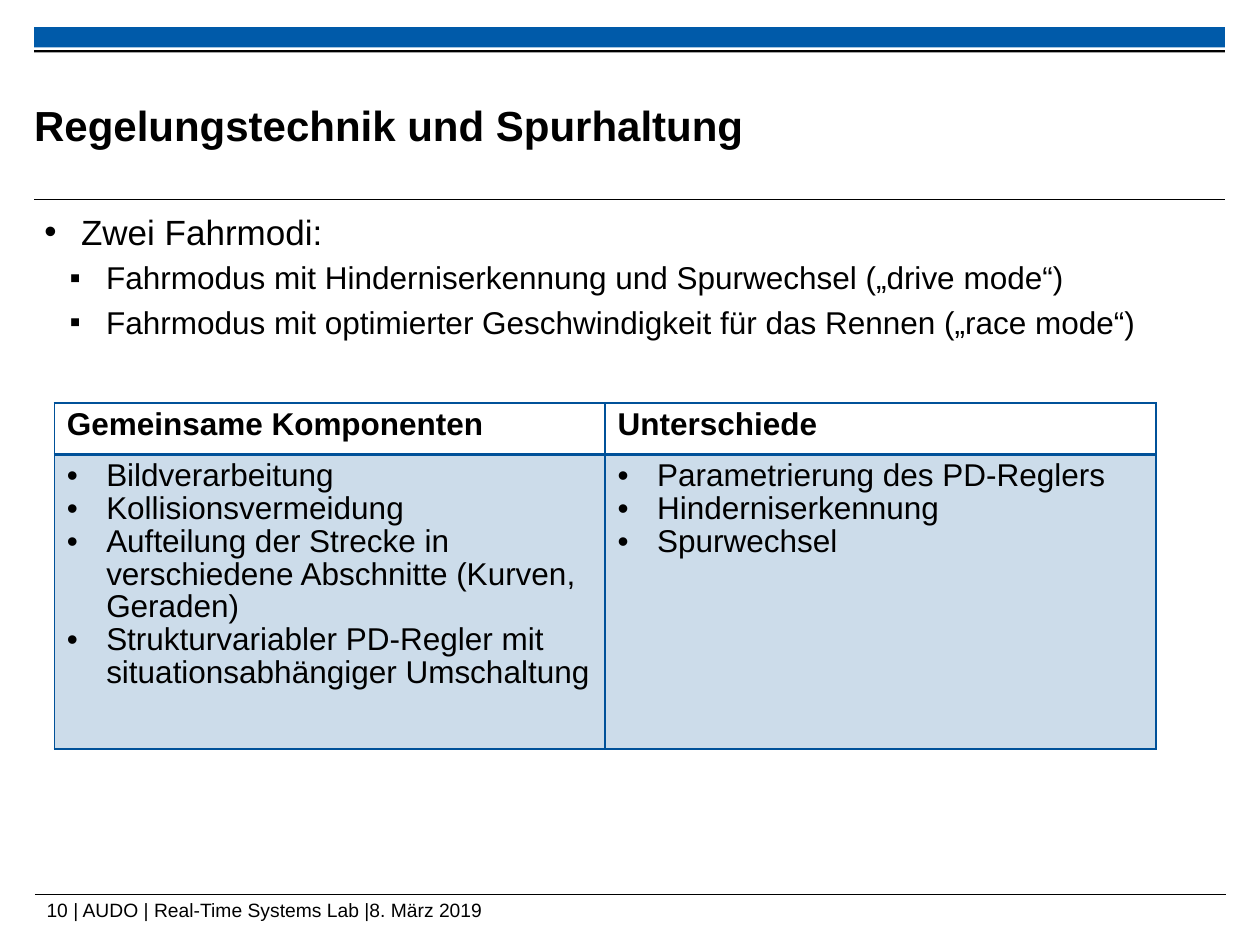
from lxml import etree
from pptx import Presentation
from pptx.dml.color import RGBColor
from pptx.enum import shapes, text
from pptx.oxml import ns
from pptx.util import Pt

COLORS = {"black": "000000", "bar": "005AA9", "table": "005199"}
FONT = "Arial"
LEFT, WIDTH = 19.5, 680.4


def rgb(name):
    return RGBColor.from_string(COLORS[name])


def child(parent, tag, **attributes):
    return etree.SubElement(parent, ns.qn(tag), attributes)


def write(paragraph, content, size=18, bold=False, bullet=None, margin=0,
          hanging=0, before=0, spacing=None):
    """Fill one paragraph with formatted text and an optional bullet."""
    paragraph.alignment = text.PP_ALIGN.LEFT
    paragraph.space_before = Pt(before)
    if spacing:
        paragraph.line_spacing = spacing
    run = paragraph.add_run()
    run.text = content
    run.font.name, run.font.size, run.font.bold = FONT, Pt(size), bold
    run.font.color.rgb = rgb("black")
    if bullet:
        props = paragraph._p.get_or_add_pPr()
        props.set("marL", str(Pt(margin)))
        props.set("indent", str(Pt(-hanging)))
        child(props, "a:buFont", typeface=FONT)
        child(props, "a:buChar", char=bullet)


def write_all(frame, items):
    """Write (content, format) pairs, one paragraph each."""
    for index, (content, style) in enumerate(items):
        paragraph = frame.add_paragraph() if index else frame.paragraphs[0]
        write(paragraph, content, **style)


class SlideBuilder:
    def __init__(self, slide):
        self.slide = slide

    def bar(self, top, height, color):
        bar = self.slide.shapes.add_shape(
            shapes.MSO_SHAPE.RECTANGLE, Pt(LEFT), Pt(top), Pt(WIDTH), Pt(height))
        bar.shadow.inherit = False
        bar.fill.solid()
        bar.fill.fore_color.rgb = rgb(color)
        bar.line.fill.background()

    def rule(self, top, left=LEFT):
        rule = self.slide.shapes.add_connector(
            shapes.MSO_CONNECTOR.STRAIGHT, Pt(left), Pt(top), Pt(left + WIDTH), Pt(top))
        rule.line.color.rgb = rgb("black")
        rule.line.width = Pt(0.6)
        child(rule._element.spPr, "a:effectLst")

    def title(self, content, left, top, width, height):
        title = self.slide.shapes.title
        title.left, title.top = Pt(left), Pt(top)
        title.width, title.height = Pt(width), Pt(height)
        frame = title.text_frame
        frame.margin_left = frame.margin_right = 0
        frame.margin_top = frame.margin_bottom = 0
        frame.vertical_anchor = text.MSO_ANCHOR.MIDDLE
        write(frame.paragraphs[0], content, size=24, bold=True)

    def text_box(self, items, left, top, width, height, inset=7.2):
        frame = self.slide.shapes.add_textbox(
            Pt(left), Pt(top), Pt(width), Pt(height)).text_frame
        frame.word_wrap = True
        frame.margin_left = frame.margin_right = Pt(inset)
        write_all(frame, items)

    def cell(self, cell, items, tinted, bottom):
        write_all(cell.text_frame, items)
        props = cell._tc.get_or_add_tcPr()
        if tinted:
            cell.fill.solid()
            cell.fill.fore_color.rgb = rgb("table")
            child(props.find(".//" + ns.qn("a:srgbClr")), "a:alpha", val="20000")
        else:
            cell.fill.background()
        # Borders come before the fill in the cell properties
        widths = {"a:lnL": 1, "a:lnR": 1, "a:lnT": 1, "a:lnB": bottom}
        for index, (tag, width) in enumerate(widths.items()):
            border = child(props, tag, w=str(Pt(width)))
            child(child(border, "a:solidFill"), "a:srgbClr", val=COLORS["table"])
            props.insert(index, border)

    def table(self, columns, left, top, column_width, row_heights):
        table = self.slide.shapes.add_table(
            2, len(columns), Pt(left), Pt(top),
            Pt(column_width * len(columns)), Pt(sum(row_heights))).table
        table.first_row = table.horz_banding = False
        for row, height in zip(table.rows, row_heights):
            row.height = Pt(height)
        point = dict(bullet="•", margin=22.5, hanging=22.5, spacing=0.93)
        for index, (heading, points) in enumerate(columns.items()):
            table.columns[index].width = Pt(column_width)
            self.cell(table.cell(0, index), [(heading, dict(bold=True, spacing=0.93))],
                      tinted=False, bottom=2)
            self.cell(table.cell(1, index), [(item, point) for item in points],
                      tinted=True, bottom=1)


def main():
    deck = Presentation()
    deck.slide_width, deck.slide_height = Pt(720), Pt(540)
    page = SlideBuilder(deck.slides.add_slide(deck.slide_layouts[5]))

    # Header and footer
    page.bar(15.6, 11.5, "bar")
    page.bar(28.6, 1.4, "black")
    page.rule(114.2)
    page.rule(511, left=20)
    page.text_box([("10 | AUDO | Real-Time Systems Lab |8. März 2019",
                    dict(size=11, spacing=0.93))], LEFT, 511, 290, 19.5)

    # Title and driving modes
    page.title("Regelungstechnik und Spurhaltung", LEFT, 38.2, 541.5, 66.2)
    mode = dict(bullet="▪", margin=35.3, hanging=20.9, before=3.6)
    page.text_box([
        ("Zwei Fahrmodi:",
         dict(size=20, bullet="•", margin=20.9, hanging=20.9, before=4)),
        ("Fahrmodus mit Hinderniserkennung und Spurwechsel („drive mode“)", mode),
        ("Fahrmodus mit optimierter Geschwindigkeit für das Rennen („race mode“)", mode),
    ], 25.4, 116.6, WIDTH, 391, inset=0)

    # Comparison of the modes
    page.table({
        "Gemeinsame Komponenten": [
            "Bildverarbeitung",
            "Kollisionsvermeidung",
            "Aufteilung der Strecke in verschiedene Abschnitte (Kurven, Geraden)",
            "Strukturvariabler PD-Regler mit situationsabhängiger Umschaltung",
        ],
        "Unterschiede": [
            "Parametrierung des PD-Reglers", "Hinderniserkennung", "Spurwechsel"],
    }, 31, 230.3, 314.8, [29.2, 168.5])

    deck.save("out.pptx")


if __name__ == "__main__":
    main()
